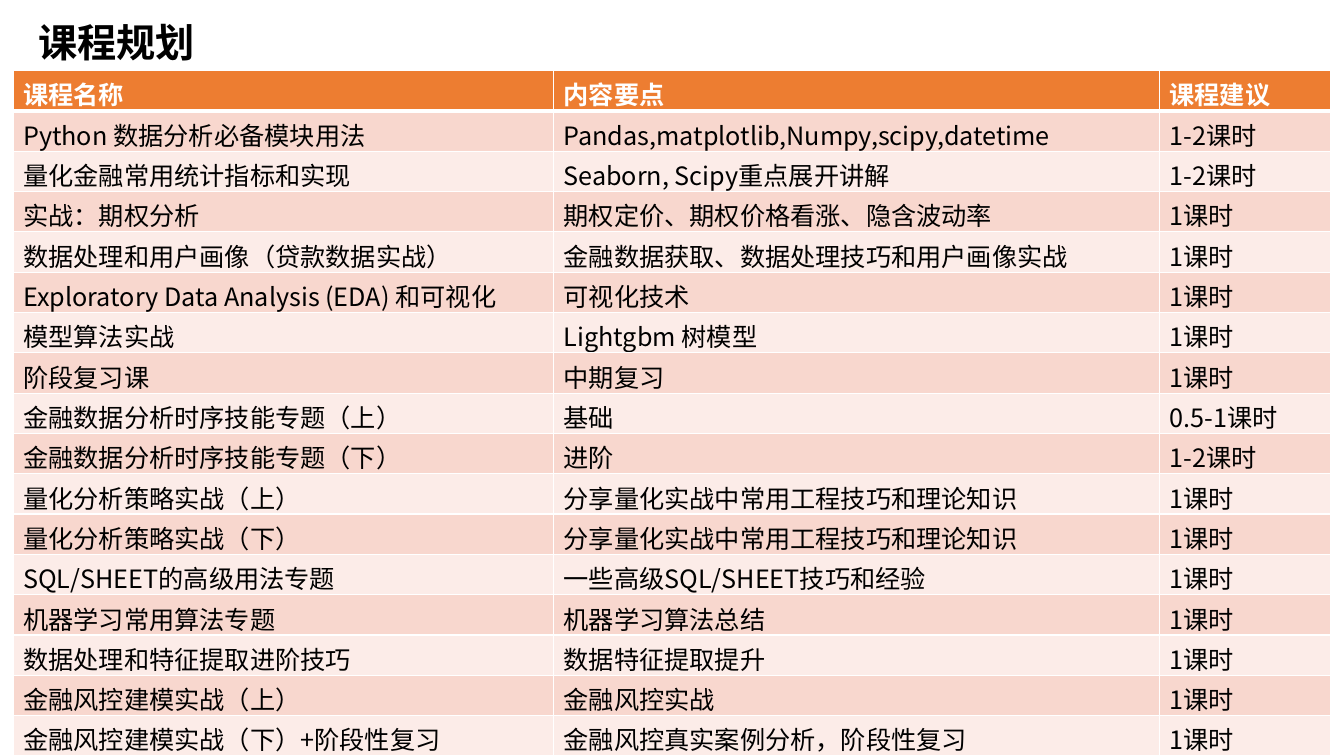
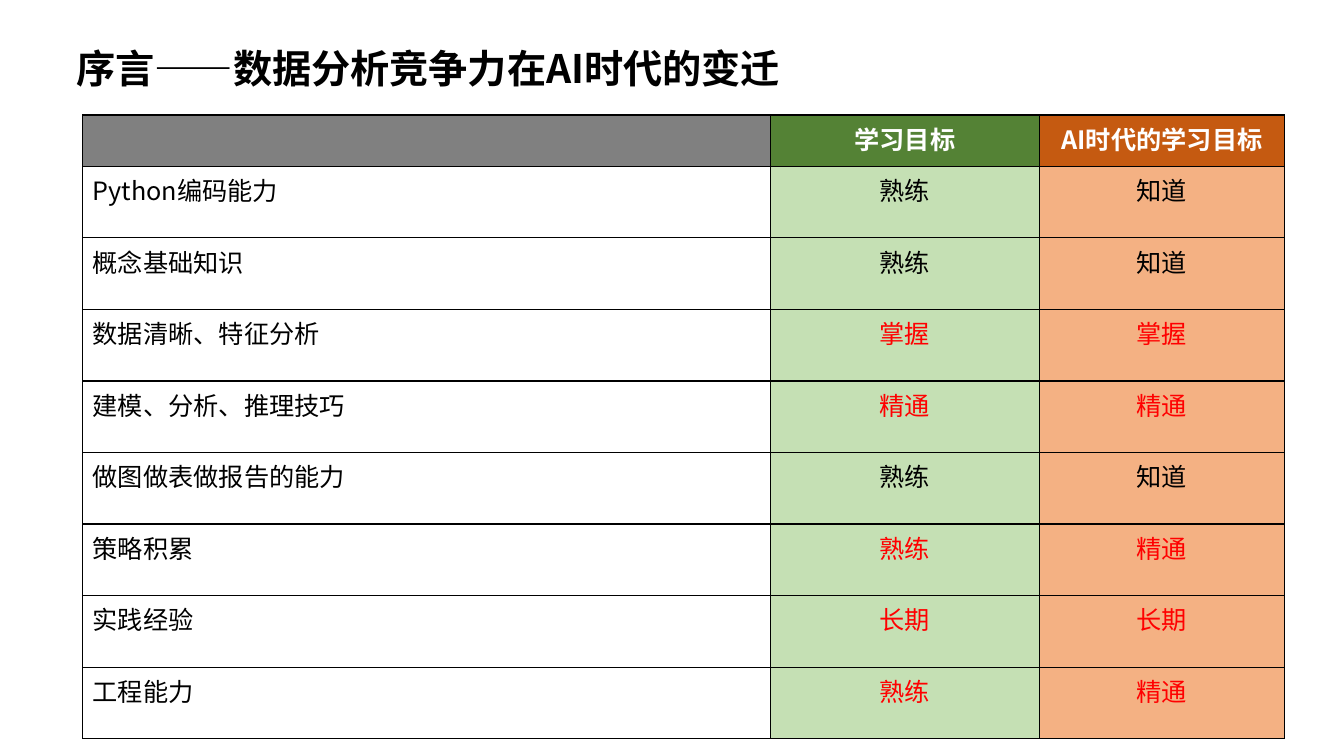
from dataclasses import dataclass
from lxml.etree import SubElement as Sub
from pptx import Presentation
from pptx.dml.color import RGBColor as RGB
from pptx.enum.text import MSO_ANCHOR as Anchor, PP_ALIGN as Align
from pptx.oxml.ns import qn
from pptx.util import Inches, Pt


@dataclass(frozen=True)
class Theme:
    font: str = "Noto Sans CJK SC"
    head: int = 28
    body: int = 18
    black: str = "000000"
    white: str = "FFFFFF"
    red: str = "FF0000"
    orange: str = "ED7D31"
    bands: tuple = ("F8D7CE", "FCECE8")
    heads: tuple = ("808080", "548235", "C55A11")
    tints: tuple = ("FFFFFF", "C5E0B4", "F4B183")


class Deck:
    def __init__(self, theme):
        self.theme = theme
        self.prs = Presentation()
        self.prs.slide_width = Inches(13.33)
        self.prs.slide_height = Inches(7.5)
        self.slide = None

    def page(self):
        self.slide = self.prs.slides.add_slide(self.prs.slide_layouts[6])

    def style(self, para, size, color, bold=False):
        for run in para.runs:
            font = run.font
            font.size, font.bold, font.name = Pt(size), bold, self.theme.font
            font.color.rgb = RGB.from_string(color)
            # The East Asian face has no public setter
            Sub(font._element, qn("a:ea"), typeface=self.theme.font)

    def title(self, text, left, top, width):
        box = self.slide.shapes.add_textbox(
            Inches(left), Inches(top), Inches(width), Inches(0.57))
        frame = box.text_frame
        frame.word_wrap = True
        frame.vertical_anchor = Anchor.MIDDLE
        frame.text = text
        self.style(frame.paragraphs[0], self.theme.head, self.theme.black, True)

    def grid(self, left, top, cols, rows):
        shape = self.slide.shapes.add_table(
            len(rows), len(cols), Inches(left), Inches(top),
            Inches(sum(cols)), Inches(sum(rows)))
        table = shape.table
        table.horz_banding = False
        for col, width in zip(table.columns, cols):
            col.width = Inches(width)
        for row, height in zip(table.rows, rows):
            row.height = Inches(height)
        return table

    def edge(self, cell, color, top=1, bottom=1):
        props = cell._tc.get_or_add_tcPr()
        for side, width in zip("LRTB", (1, 1, top, bottom)):
            line = Sub(props, qn(f"a:ln{side}"), w=str(Pt(width)))
            Sub(Sub(line, qn("a:solidFill")), qn("a:srgbClr"), val=color)

    def cell(self, cell, text, fill, color, bold=False, mid=False):
        cell.fill.solid()
        cell.fill.fore_color.rgb = RGB.from_string(fill)
        cell.margin_top, cell.margin_bottom = Inches(0.05), 0
        cell.text_frame.text = text
        para = cell.text_frame.paragraphs[0]
        para.alignment = Align.CENTER if mid else Align.LEFT
        self.style(para, self.theme.body, color, bold)


def plan(deck):
    """Course plan: banded rows under an orange header."""
    look = deck.theme
    rows = [
        ("课程名称", "内容要点", "课程建议"),
        ("Python 数据分析必备模块用法", "Pandas,matplotlib,Numpy,scipy,datetime", "1-2课时"),
        ("量化金融常用统计指标和实现", "Seaborn, Scipy重点展开讲解", "1-2课时"),
        ("实战：期权分析", "期权定价、期权价格看涨、隐含波动率", "1课时"),
        ("数据处理和用户画像（贷款数据实战）", "金融数据获取、数据处理技巧和用户画像实战", "1课时"),
        ("Exploratory Data Analysis (EDA) 和可视化", "可视化技术", "1课时"),
        ("模型算法实战", "Lightgbm 树模型", "1课时"),
        ("阶段复习课", "中期复习", "1课时"),
        ("金融数据分析时序技能专题（上）", "基础", "0.5-1课时"),
        ("金融数据分析时序技能专题（下）", "进阶", "1-2课时"),
        ("量化分析策略实战（上）", "分享量化实战中常用工程技巧和理论知识", "1课时"),
        ("量化分析策略实战（下）", "分享量化实战中常用工程技巧和理论知识", "1课时"),
        ("SQL/SHEET的高级用法专题", "一些高级SQL/SHEET技巧和经验", "1课时"),
        ("机器学习常用算法专题", "机器学习算法总结", "1课时"),
        ("数据处理和特征提取进阶技巧", "数据特征提取提升", "1课时"),
        ("金融风控建模实战（上）", "金融风控实战", "1课时"),
        ("金融风控建模实战（下）+阶段性复习", "金融风控真实案例分析，阶段性复习", "1课时"),
    ]
    deck.page()
    deck.title("课程规划", 0.28, 0.13, 6.67)
    table = deck.grid(0.13, 0.7, (5.36, 6.01, 1.7), [0.4] * len(rows))
    for i, row in enumerate(rows):
        head = i == 0
        fill = look.orange if head else look.bands[(i - 1) % 2]
        color = look.white if head else look.black
        for j, text in enumerate(row):
            cell = table.cell(i, j)
            # A thick rule parts the header from the body
            deck.edge(cell, look.white, 3 if i == 1 else 1, 3 if head else 1)
            deck.cell(cell, text, fill, color, head)


def goals(deck):
    """Learning goals: one colour per column, key rows in red."""
    look = deck.theme
    rows = [
        ("", "学习目标", "AI时代的学习目标"),
        ("Python编码能力", "熟练", "知道"),
        ("概念基础知识", "熟练", "知道"),
        ("数据清晰、特征分析", "掌握", "掌握"),
        ("建模、分析、推理技巧", "精通", "精通"),
        ("做图做表做报告的能力", "熟练", "知道"),
        ("策略积累", "熟练", "精通"),
        ("实践经验", "长期", "长期"),
        ("工程能力", "熟练", "精通"),
    ]
    deck.page()
    deck.title("序言——数据分析竞争力在AI时代的变迁", 0.66, 0.39, 7.76)
    table = deck.grid(0.82, 1.14, (6.82, 2.67, 2.43),
                      [0.51] + [0.71] * (len(rows) - 1))
    for i, row in enumerate(rows):
        head = i == 0
        fills = look.heads if head else look.tints
        goal = look.black if row[2] == "知道" else look.red
        for j, text in enumerate(row):
            color = look.white if head else goal if j else look.black
            cell = table.cell(i, j)
            deck.edge(cell, look.black)
            deck.cell(cell, text, fills[j], color, head, j > 0)


def main():
    deck = Deck(Theme())
    plan(deck)
    goals(deck)
    deck.prs.save("out.pptx")


if __name__ == "__main__":
    main()
